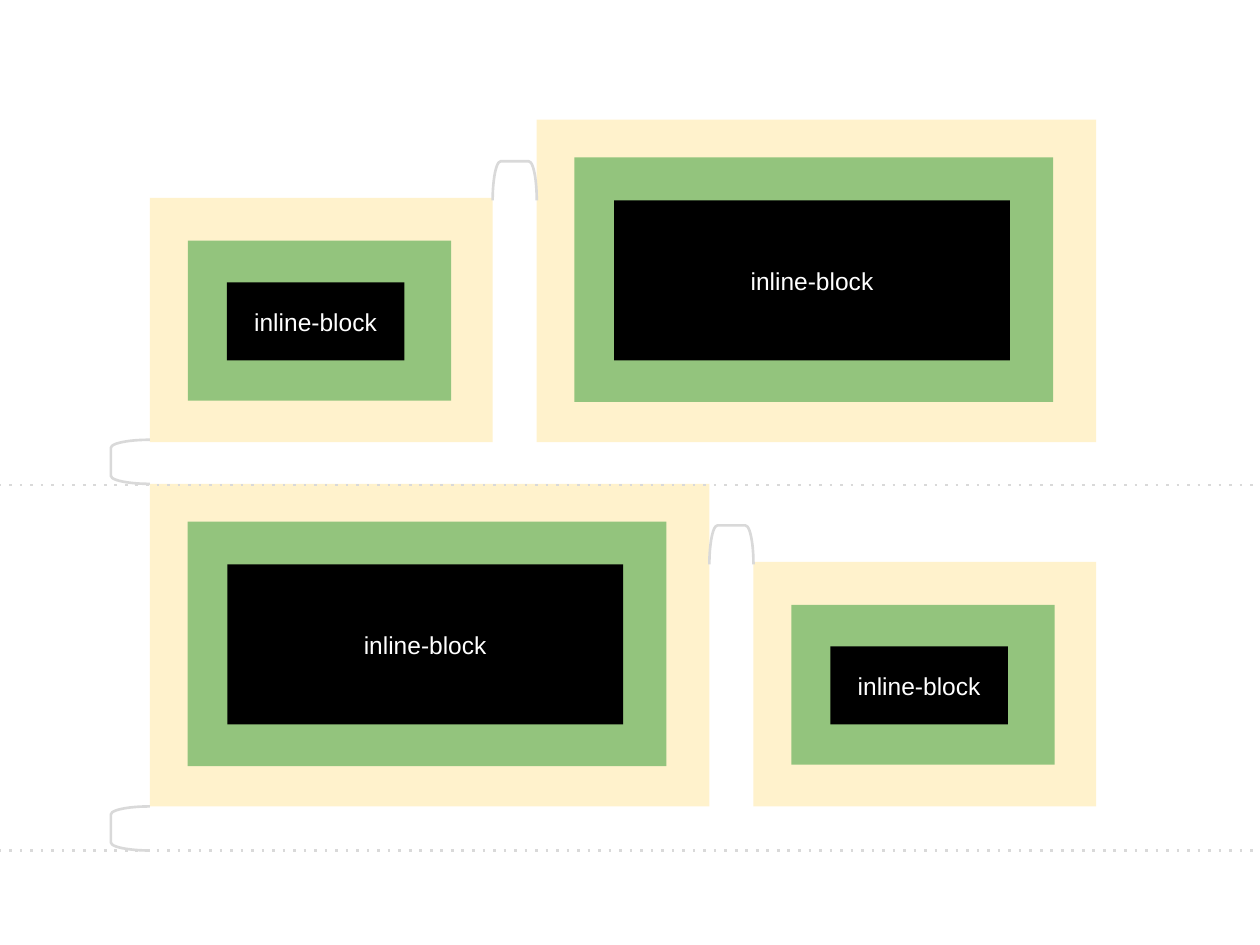
from pptx import Presentation
from pptx.dml.color import RGBColor
from pptx.enum.dml import MSO_LINE_DASH_STYLE as Dash
from pptx.enum.shapes import MSO_CONNECTOR as Connector, MSO_SHAPE as Shape
from pptx.enum.text import MSO_ANCHOR as Anchor, PP_ALIGN as Align
from pptx.oxml.ns import qn
from pptx.util import Inches, Pt
from lxml.etree import SubElement

COLUMNS, ROWS = 100, 75
COLORS = {"margin": "FFF2CC", "padding": "93C47D", "content": "000000",
          "text": "FFFFFF", "guide": "D9D9D9"}
FRAME = {"word_wrap": True, "vertical_anchor": Anchor.MIDDLE,
         "margin_left": Inches(0.1), "margin_right": Inches(0.1),
         "margin_top": Inches(0.1), "margin_bottom": Inches(0.1)}
FONT = {"name": "Arial", "size": Pt(14)}

# Each layer: name, inset from the left and top, width and height, in grid units
SMALL = [("margin", 0, 0, 27.2, 19.4),
         ("padding", 3, 3.4, 20.9, 12.7),
         ("content", 6.1, 6.7, 14.1, 6.2)]
LARGE = [("margin", 0, 0, 44.4, 25.6),
         ("padding", 3, 3, 38, 19.4),
         ("content", 6.15, 6.4, 31.4, 12.7)]
LEFT, RIGHT = 11.9, 87
BRACKET_WIDTH, BRACKET_HEIGHT = 3.1, 3.5


def set_all(target, values):
    """Set every attribute in a dict on one object."""
    for name, value in values.items():
        setattr(target, name, value)


class BoxDiagram:
    """Draws nested boxes, brackets and guide lines on one slide."""

    def __init__(self, presentation):
        """Add a blank slide and work out its grid."""
        self.slide = presentation.slides.add_slide(presentation.slide_layouts[6])
        self.column = presentation.slide_width / COLUMNS
        self.row = presentation.slide_height / ROWS

    def place(self, left, top, width, height):
        """Turn grid units into slide lengths."""
        return (round(left * self.column), round(top * self.row),
                round(width * self.column), round(height * self.row))

    def style_line(self, line):
        """Give a line the guide colour and width."""
        line.color.rgb = RGBColor.from_string(COLORS["guide"])
        line.width = Pt(1.5)

    def shape(self, kind, *position):
        """Add a preset shape without shadow."""
        shape = self.slide.shapes.add_shape(kind, *self.place(*position))
        shape.shadow.inherit = False
        return shape

    def label(self, shape, text):
        """Write centred text in a shape."""
        set_all(shape.text_frame, FRAME)
        paragraph = shape.text_frame.paragraphs[0]
        paragraph.alignment = Align.CENTER
        run = paragraph.add_run()
        run.text = text
        set_all(run.font, FONT)
        run.font.color.rgb = RGBColor.from_string(COLORS["text"])

    def block(self, layers, left, bottom, text):
        """Stack the layers of one block, standing on its bottom edge."""
        top = bottom - layers[0][4]
        for name, inset_x, inset_y, width, height in layers:
            box = self.shape(Shape.RECTANGLE, left + inset_x, top + inset_y,
                             width, height)
            box.fill.solid()
            box.fill.fore_color.rgb = RGBColor.from_string(COLORS[name])
            box.line.fill.background()
        self.label(box, text)

    def bracket(self, left, top, rotation=0):
        """Add a bracket that marks a gap."""
        bracket = self.shape(Shape.LEFT_BRACKET, left, top,
                             BRACKET_WIDTH, BRACKET_HEIGHT)
        bracket.adjustments[0] = 0.205
        bracket.rotation = rotation
        bracket.fill.background()
        self.style_line(bracket.line)

    def guide(self, height):
        """Add a dotted line across the slide."""
        left, top, right, bottom = self.place(-0.1, height, COLUMNS, height)
        guide = self.slide.shapes.add_connector(Connector.STRAIGHT, left, top,
                                                right, bottom)
        self.style_line(guide.line)
        guide.line.dash_style = Dash.ROUND_DOT
        properties = guide._element.spPr
        properties.find(".//" + qn("a:prstDash")).set("val", "dot")
        SubElement(properties, qn("a:effectLst"))


def main():
    """Build and save the slide."""
    presentation = Presentation()
    set_all(presentation, {"slide_width": Inches(10), "slide_height": Inches(7.5)})
    diagram = BoxDiagram(presentation)

    lines = [(SMALL, LARGE, 35.1, 12.6), (LARGE, SMALL, 64, 41.5)]
    for first, second, bottom, bracket_top in lines:
        diagram.block(first, LEFT, bottom, "inline-block")
        second_left = RIGHT - second[0][3]
        diagram.block(second, second_left, bottom, "inline-block")
        gap_center = (LEFT + first[0][3] + second_left) / 2
        diagram.bracket(gap_center - BRACKET_WIDTH / 2, bracket_top, 90)

    for bracket_top, guide in [(34.9, 38.5), (64, 67.5)]:
        diagram.guide(guide)
        diagram.bracket(LEFT - BRACKET_WIDTH, bracket_top)

    presentation.save("out.pptx")


main()
